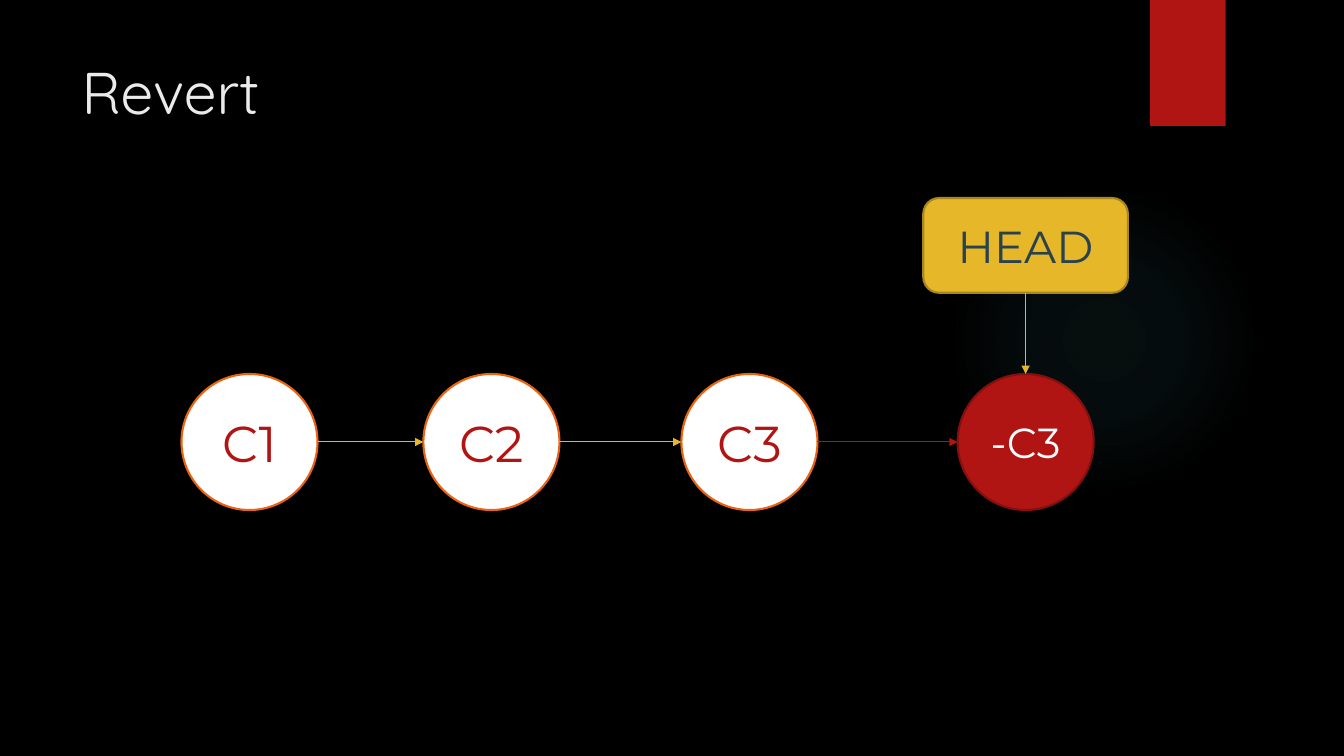
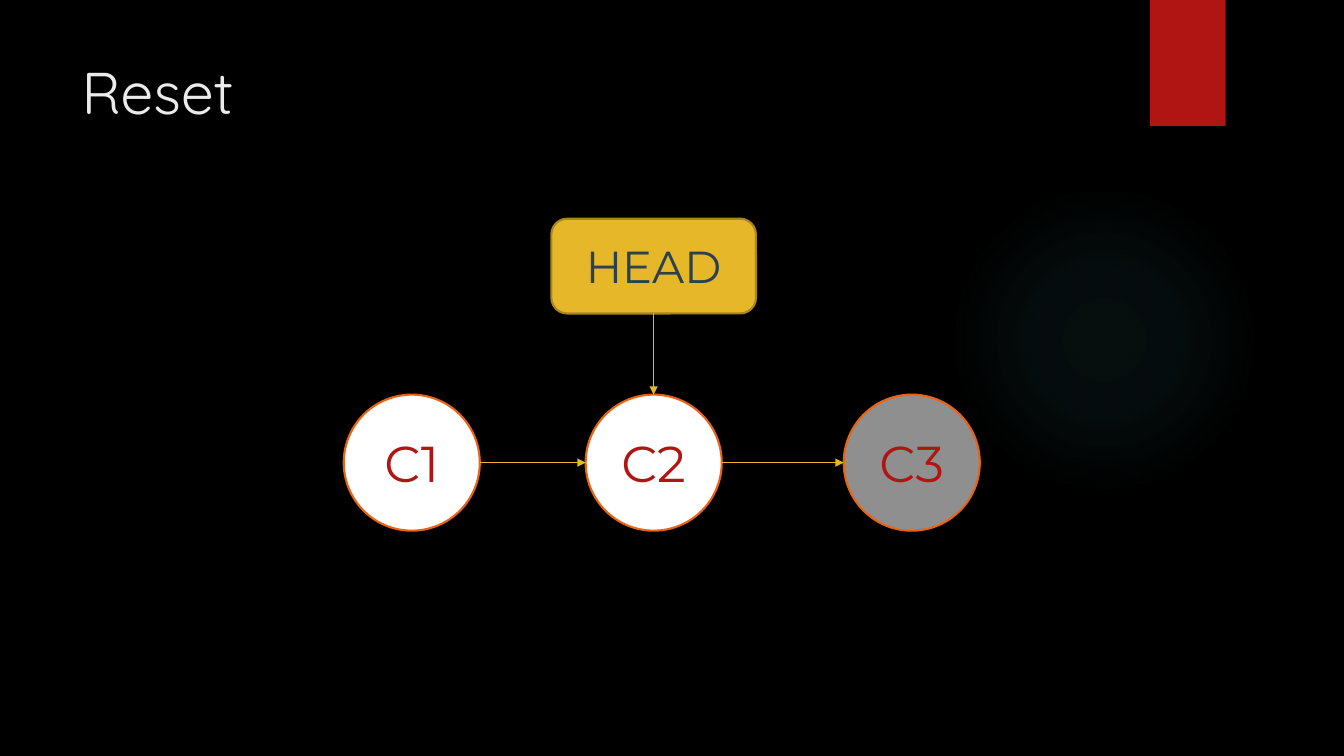
from lxml import etree
from pptx import Presentation
from pptx.dml.color import RGBColor
from pptx.enum.shapes import MSO_CONNECTOR, MSO_SHAPE
from pptx.enum.text import MSO_ANCHOR, MSO_AUTO_SIZE, PP_ALIGN
from pptx.oxml import parse_xml
from pptx.oxml.ns import nsdecls, qn
from pptx.util import Inches, Pt

OVAL, BOX, ROUNDED = MSO_SHAPE.OVAL, MSO_SHAPE.RECTANGLE, MSO_SHAPE.ROUNDED_RECTANGLE
STRAIGHT = MSO_CONNECTOR.STRAIGHT
TOP, MIDDLE = MSO_ANCHOR.TOP, MSO_ANCHOR.MIDDLE
LEFT, CENTER = PP_ALIGN.LEFT, PP_ALIGN.CENTER
NO_AUTOFIT = MSO_AUTO_SIZE.NONE

BLACK = RGBColor(0x00, 0x00, 0x00)
WHITE = RGBColor(0xFF, 0xFF, 0xFF)
PALE = RGBColor(0xEB, 0xEB, 0xEB)
RED = RGBColor(0xB0, 0x15, 0x13)
DARK_RED = RGBColor(0x82, 0x10, 0x0E)
ORANGE = RGBColor(0xEA, 0x63, 0x12)
GOLD = RGBColor(0xE6, 0xB7, 0x29)
DARK_GOLD = RGBColor(0xAA, 0x87, 0x1E)
SLATE = RGBColor(0x2A, 0x42, 0x4D)
TEAL = RGBColor(0x50, 0xB9, 0xC1)

TITLE_FONT = {"name": "Quicksand", "size": Pt(42)}
COMMIT_FONT = {"name": "Montserrat", "size": Pt(36)}
UNDO_FONT = {"name": "Montserrat", "size": Pt(30)}
HEAD_FONT = {"name": "Montserrat", "size": Pt(32)}

# Looks of a commit: fill, outline, text colour, font, opacity in percent
COMMIT = (WHITE, ORANGE, RED, COMMIT_FONT, 100)
DROPPED = (WHITE, ORANGE, RED, COMMIT_FONT, 56)
UNDO = (RED, DARK_RED, WHITE, UNDO_FONT, 100)

# Grid units: tenths of an inch
COLUMNS, ROWS = 133.33, 75
COMMIT_STEPS = (0, 24, 49.6, 77)  # left edges, from the first commit
COMMIT_SIZE = 13.5
HEAD_WIDTH, HEAD_HEIGHT = 20.3, 9.4
HEAD_RISE = 17.45  # from the top of HEAD to the top of its commit


def grid(units):
    return Inches(units / 10)


def format_text(frame, align, anchor, font_values, color):
    frame.vertical_anchor = anchor
    paragraph = frame.paragraphs[0]
    paragraph.alignment = align
    font = paragraph.runs[0].font
    for key, value in font_values.items():
        setattr(font, key, value)
    font.color.rgb = color


def add_block(slide, kind, left, top, width, height, fill, outline=None):
    block = slide.shapes.add_shape(kind, *map(grid, (left, top, width, height)))
    block.shadow.inherit = False
    block.fill.solid()
    block.fill.fore_color.rgb = fill
    if outline is None:
        block.line.fill.background()
    else:
        block.line.color.rgb = outline
        block.line.width = Pt(1.5)
    return block


def add_label(block, text, font_values, color):
    frame = block.text_frame
    frame.text = text
    frame.word_wrap = True
    frame.margin_left = frame.margin_right = 0
    format_text(frame, CENTER, MIDDLE, font_values, color)


def add_arrow(slide, start, end, color):
    arrow = slide.shapes.add_connector(STRAIGHT, *map(grid, start + end))
    arrow.line.color.rgb = color
    arrow.line.width = Pt(0.75)
    etree.SubElement(arrow.line._get_or_add_ln(), qn("a:tailEnd"), type="triangle")
    etree.SubElement(arrow.element.spPr, qn("a:effectLst"))


def set_opacity(block, percent):
    color = block.element.spPr.find(qn("a:solidFill"))[0]
    etree.SubElement(color, qn("a:alpha"), val=str(percent * 1000))


def set_glow(block):
    stops = "".join(
        f'<a:gs pos="{place * 1000}"><a:srgbClr val="{TEAL}">'
        f'<a:alpha val="{opacity * 1000}"/></a:srgbClr></a:gs>'
        for place, opacity in ((0, 7), (36, 6), (69, 0)))
    gradient = parse_xml(
        f'<a:gradFill {nsdecls("a")} rotWithShape="1"><a:gsLst>{stops}</a:gsLst>'
        '<a:path path="circle"><a:fillToRect l="50000" t="50000" r="50000" b="50000"/>'
        '</a:path></a:gradFill>')
    properties = block.element.spPr
    properties.replace(properties.find(qn("a:solidFill")), gradient)


# Shared look: background, title place, glow and ribbon
def prepare_layout(deck, layout, slide):
    background = deck.slide_master.background.fill
    background.solid()
    background.fore_color.rgb = BLACK
    place = {"left": 7.1, "top": 5, "width": 102.9, "height": 15.3}
    for key, units in place.items():
        setattr(layout.placeholders[0], key, grid(units))
    glow = add_block(slide, OVAL, 94.1, 18.3, 30.8, 30.8, TEAL)
    set_glow(glow)
    ribbon = add_block(slide, BOX, 114.1, 0, 7.5, 12.5, RED)
    for index, part in enumerate((glow, ribbon), start=2):
        layout.shapes.element.insert(index, part.element)


def add_title(slide, text):
    frame = slide.shapes.title.text_frame
    frame.text = text
    frame.auto_size = NO_AUTOFIT
    format_text(frame, LEFT, TOP, TITLE_FONT, PALE)


# Chain of commits, with HEAD above one of them
def add_history(slide, left, top, commits, head_index):
    lefts = [left + step for step in COMMIT_STEPS[:len(commits)]]
    middle = top + COMMIT_SIZE / 2
    for commit_left, (text, look) in zip(lefts, commits):
        fill, outline, color, font_values, opacity = look
        commit = add_block(slide, OVAL, commit_left, top, COMMIT_SIZE, COMMIT_SIZE,
                           fill, outline)
        if opacity < 100:
            set_opacity(commit, opacity)
        add_label(commit, text, font_values, color)
    for before, after, (_, look) in zip(lefts, lefts[1:], commits[1:]):
        add_arrow(slide, (before + COMMIT_SIZE, middle), (after, middle),
                  RED if look is UNDO else GOLD)

    center = lefts[head_index] + COMMIT_SIZE / 2
    head_top = top - HEAD_RISE
    head = add_block(slide, ROUNDED, center - HEAD_WIDTH / 2, head_top,
                     HEAD_WIDTH, HEAD_HEIGHT, GOLD, DARK_GOLD)
    add_label(head, "HEAD", HEAD_FONT, SLATE)
    add_arrow(slide, (center, head_top + HEAD_HEIGHT), (center, top), GOLD)


def main():
    deck = Presentation()
    deck.slide_width, deck.slide_height = grid(COLUMNS), grid(ROWS)
    layout = deck.slide_layouts[5]

    # Revert
    revert = deck.slides.add_slide(layout)
    prepare_layout(deck, layout, revert)
    add_title(revert, "Revert")
    add_history(revert, 18, 37.1,
                [("C1", COMMIT), ("C2", COMMIT), ("C3", COMMIT), ("-C3", UNDO)], 3)

    # Reset
    reset = deck.slides.add_slide(layout)
    add_title(reset, "Reset")
    add_history(reset, 34.1, 39.15,
                [("C1", COMMIT), ("C2", COMMIT), ("C3", DROPPED)], 1)

    deck.save("out.pptx")


main()
